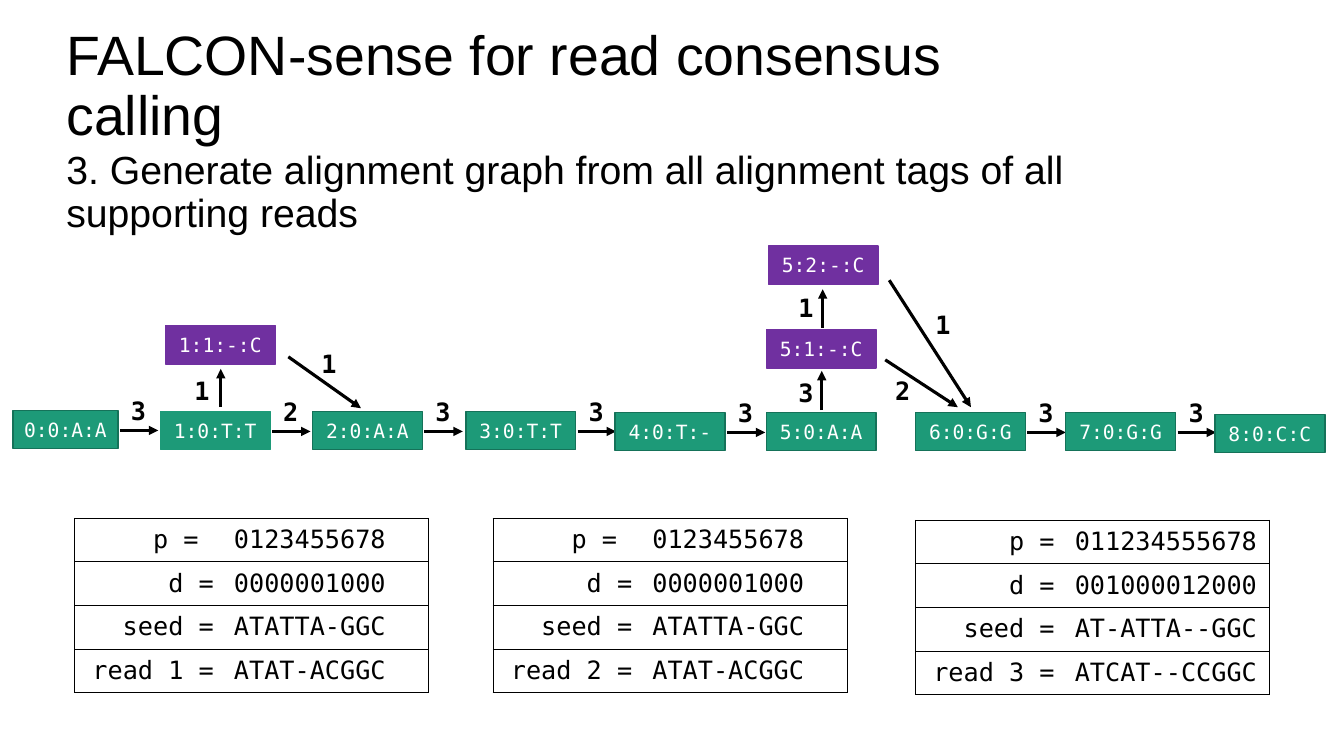
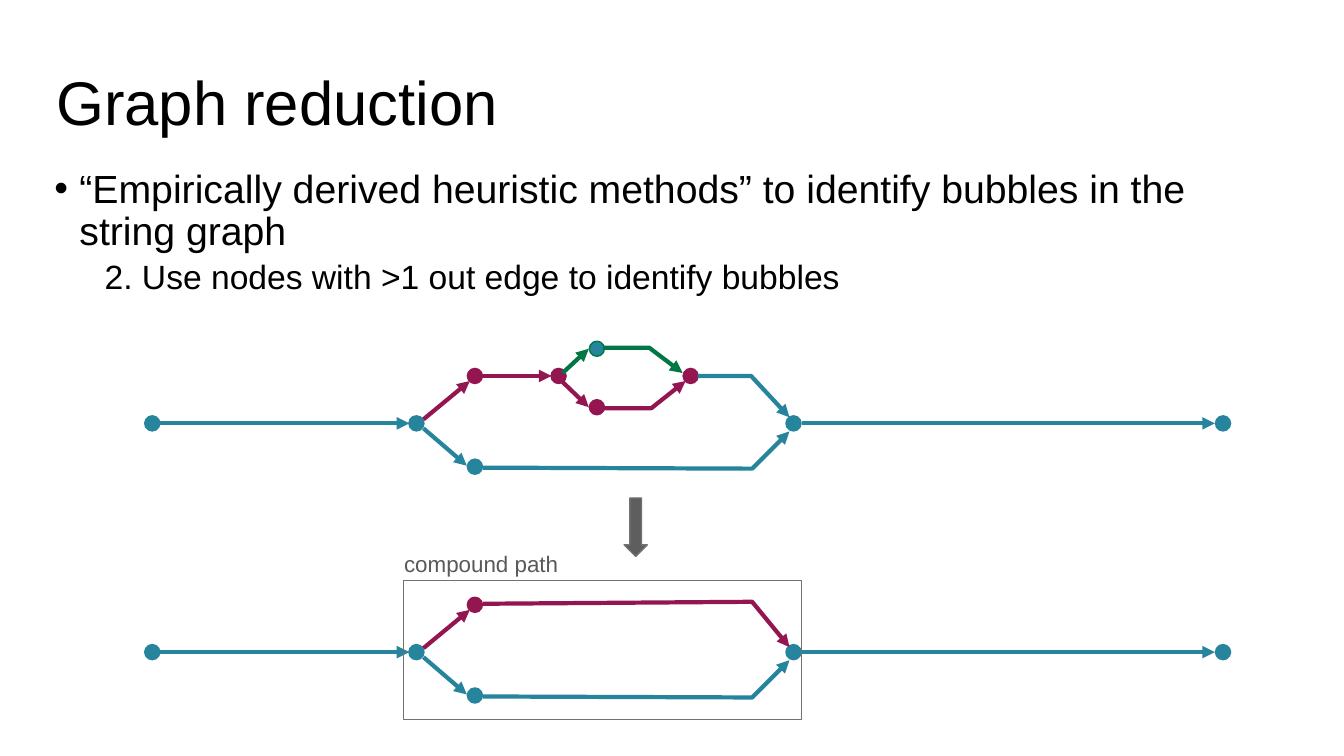
from itertools import pairwise

from lxml.etree import SubElement
from pptx import Presentation
from pptx.dml.color import RGBColor
from pptx.enum.shapes import MSO_CONNECTOR as Connector, MSO_SHAPE as Shape
from pptx.enum.text import MSO_ANCHOR as Anchor, PP_ALIGN as Align
from pptx.oxml.ns import qn
from pptx.util import Inches, Pt

COLORS = {
    "black": "000000", "white": "FFFFFF", "green": "1D9A78", "green_edge": "157259",
    "purple": "7030A0", "teal": "26859D", "maroon": "941651", "leaf": "007744",
    "arrow": "5E5E5E", "outline": "767171", "caption": "595959",
}
SANS, MONO = "Arial", "DejaVu Sans Mono"
TITLE = {"name": SANS, "size": Pt(44)}
BODY = {"name": SANS, "size": Pt(28)}
SUBPOINT = {"name": SANS, "size": Pt(24)}
CAPTION = {"name": SANS, "size": Pt(16)}
NODE = {"name": MONO, "size": Pt(14)}
CODE = {"name": MONO, "size": Pt(18)}
WEIGHT = CODE | {"bold": True}
NODE_WIDTH, NODE_HEIGHT = 1.09, 0.38
DOT = 0.15


def rgb(name):
    return RGBColor.from_string(COLORS[name])


def write(para, text, style, color="black", **layout):
    span = para.add_run()
    span.text = text
    for name, value in style.items():
        setattr(span.font, name, value)
    span.font.color.rgb = rgb(color)
    for name, value in layout.items():
        setattr(para, name, value)


def add_text(slide, area, text, style, color="black", wrap=True, anchor=Anchor.TOP, **layout):
    box = slide.shapes.add_textbox(*map(Inches, area))
    frame = box.text_frame
    frame.word_wrap = wrap
    frame.vertical_anchor = anchor
    write(frame.paragraphs[0], text, style, color, **layout)
    return frame


def add_title(slide, area, text, size=44):
    add_text(slide, area, text, TITLE | {"size": Pt(size)}, anchor=Anchor.MIDDLE, line_spacing=0.9)


def indent(para, left, hanging=0, bullet=None):
    props = para._p.get_or_add_pPr()
    props.set("marL", str(Inches(left)))
    props.set("indent", str(-Inches(hanging)))
    if bullet:
        SubElement(props, qn("a:buFont")).set("typeface", SANS)
        SubElement(props, qn("a:buChar")).set("char", bullet)


def add_figure(slide, kind, area, fill, edge):
    figure = slide.shapes.add_shape(kind, *map(Inches, area))
    figure.shadow.inherit = False
    if fill:
        figure.fill.solid()
        figure.fill.fore_color.rgb = rgb(fill)
    else:
        figure.fill.background()
    figure.line.color.rgb = rgb(edge)
    figure.line.width = Pt(1)
    return figure


def add_node(slide, left, top, text, fill, edge, width=NODE_WIDTH):
    node = add_figure(slide, Shape.RECTANGLE, (left, top, width, NODE_HEIGHT), fill, edge)
    node.text_frame.word_wrap = True
    node.text_frame.vertical_anchor = Anchor.MIDDLE
    write(node.text_frame.paragraphs[0], text, NODE, "white", alignment=Align.CENTER)


def add_weight(slide, left, top, text):
    add_text(slide, (left, top, 0.35, 0.4), text, WEIGHT, wrap=False)


def add_dot(slide, x, y, fill, edge=None):
    area = (x - DOT / 2, y - DOT / 2, DOT, DOT)
    add_figure(slide, Shape.OVAL, area, fill, edge or fill)


def add_arrow(slide, points, color="black", width=2.25):
    corners = [(Inches(x), Inches(y)) for x, y in points]
    if len(corners) == 2:
        arrow = slide.shapes.add_connector(Connector.STRAIGHT, *corners[0], *corners[1])
    else:
        builder = slide.shapes.build_freeform(*corners[0])
        builder.add_line_segments(corners[1:], close=False)
        arrow = builder.convert_to_shape()
        arrow.fill.background()
    arrow.line.color.rgb = rgb(color)
    arrow.line.width = Pt(width)
    SubElement(arrow.line._get_or_add_ln(), qn("a:tailEnd")).set("type", "triangle")
    SubElement(arrow._element.spPr, qn("a:effectLst"))


def set_borders(cell, sides):
    props = cell._tc.get_or_add_tcPr()
    for side in "LRTB":
        line = SubElement(props, qn(f"a:ln{side}"))
        if side in sides:
            line.set("w", str(Pt(0.5)))
            fill = SubElement(line, qn("a:solidFill"))
            SubElement(fill, qn("a:srgbClr")).set("val", COLORS["black"])
        else:
            SubElement(line, qn("a:noFill"))


def add_tags(slide, left, top, rows):
    area = (left, top, 3.51, 1.73)
    table = slide.shapes.add_table(len(rows), 2, *map(Inches, area)).table
    table.first_row = table.horz_banding = False
    for column, width in zip(table.columns, (1.48, 2.03)):
        column.width = Inches(width)
    for row, texts in enumerate(rows):
        for column, text in enumerate(texts):
            cell = table.cell(row, column)
            set_borders(cell, "TB" + "LR"[column])
            cell.fill.background()
            cell.vertical_anchor = Anchor.MIDDLE
            side = (Align.RIGHT, Align.LEFT)[column]
            write(cell.text_frame.paragraphs[0], text, CODE, alignment=side)


def draw_alignment_graph(slide):
    chain = [
        ("0:0:A:A", 0.13, 4.07, "3"), ("1:0:T:T", 1.59, 4.08, "2"),
        ("2:0:A:A", 3.1, 4.08, "3"), ("3:0:T:T", 4.62, 4.08, "3"),
        ("4:0:T:-", 6.1, 4.09, "3"), ("5:0:A:A", 7.6, 4.09, None),
        ("6:0:G:G", 9.08, 4.09, "3"), ("7:0:G:G", 10.57, 4.09, "3"),
        ("8:0:C:C", 12.05, 4.11, None),
    ]
    for index, (text, left, top, weight) in enumerate(chain):
        width = NODE_WIDTH if index else 1.04
        edge = "green" if index == 1 else "green_edge"
        add_node(slide, left, top, text, "green", edge, width)
        if weight:
            start, middle = left + width + 0.02, top + 0.2
            add_arrow(slide, [(start, middle), (start + 0.38, middle)])
            add_weight(slide, start + 0.01, middle - 0.4, weight)
    for text, left, top in (("1:1:-:C", 1.64, 3.23), ("5:1:-:C", 7.6, 3.27), ("5:2:-:C", 7.62, 2.44)):
        add_node(slide, left, top, text, "purple", "purple")
    branches = [
        ((2.19, 4.04), (2.19, 3.66), "1", 1.83, 3.67),
        ((2.86, 3.54), (3.58, 4.05), "1", 3.09, 3.41),
        ((8.15, 4.07), (8.15, 3.68), "3", 7.82, 3.69),
        ((8.16, 3.25), (8.16, 2.87), "1", 7.82, 2.85),
        ((8.78, 3.57), (9.5, 4.04), "2", 8.78, 3.67),
        ((8.82, 2.78), (9.63, 4.04), "1", 9.18, 3.02),
    ]
    for start, end, weight, left, top in branches:
        add_arrow(slide, [start, end])
        add_weight(slide, left, top, weight)


def build_consensus(slide):
    add_text(slide, (0.56, 1.45, 11.5, 4.76),
             "3. Generate alignment graph from all alignment tags of all supporting reads",
             BODY, line_spacing=0.9)
    add_title(slide, (0.56, 0.29, 10.38, 1.16), "FALCON-sense for read consensus calling", 39.6)
    plain = ("0123455678", "0000001000", "ATATTA-GGC", "ATAT-ACGGC")
    gapped = ("011234555678", "001000012000", "AT-ATTA--GGC", "ATCAT--CCGGC")
    reads = [(0.74, 5.14, "p = ", plain), (4.89, 5.14, "p = ", plain), (9.08, 5.16, "p =", gapped)]
    for number, (left, top, position, values) in enumerate(reads, 1):
        labels = (position, "d =", "seed =", f"read {number} =")
        add_tags(slide, left, top, list(zip(labels, values)))
    draw_alignment_graph(slide)


def draw_backbone(slide, middle):
    dots = [(1.51, 0, "teal"), (4.13, 0, "teal"), (4.71, -0.47, "maroon"),
            (4.71, 0.43, "teal"), (7.87, 0, "teal"), (12.13, 0, "teal")]
    routes = [
        ("teal", [(1.54, 0), (4.06, 0)]),
        ("maroon", [(4.2, -0.04), (4.66, -0.42)]),
        ("teal", [(4.2, 0.05), (4.63, 0.42)]),
        ("teal", [(4.79, 0.44), (7.46, 0.45), (7.83, 0.08)]),
        ("teal", [(7.95, 0), (12.05, 0)]),
    ]
    for x, rise, color in dots:
        add_dot(slide, x, middle + rise, color)
    for color, points in routes:
        add_arrow(slide, [(x, middle + rise) for x, rise in points], color, 3)


def draw_inner_bubble(slide):
    dots = [(5.54, 3.73, "maroon", None), (5.92, 3.46, "teal", "leaf"),
            (5.92, 4.04, "maroon", None), (6.85, 3.73, "maroon", None)]
    routes = [
        ("maroon", [(4.78, 3.73), (5.47, 3.73)]),
        ("leaf", [(5.58, 3.7), (5.84, 3.46)]),
        ("maroon", [(5.58, 3.79), (5.84, 4.04)]),
        ("leaf", [(5.98, 3.45), (6.44, 3.45), (6.77, 3.7)]),
        ("maroon", [(5.98, 4.05), (6.46, 4.05), (6.8, 3.78)]),
        ("teal", [(6.92, 3.73), (7.45, 3.73), (7.83, 4.14)]),
    ]
    for dot in dots:
        add_dot(slide, *dot)
    for color, points in routes:
        add_arrow(slide, points, color, 3)


def build_reduction(slide):
    frame = add_text(
        slide, (0.44, 1.63, 11.5, 5.36),
        "“Empirically derived heuristic methods” to identify bubbles in the string graph",
        BODY, line_spacing=0.9)
    indent(frame.paragraphs[0], 0.25, 0.25, "•")
    step = frame.add_paragraph()
    indent(step, 0.5)
    write(step, "2. Use nodes with >1 out edge to identify bubbles", SUBPOINT,
          line_spacing=0.9, space_before=Pt(5))
    add_title(slide, (0.46, 0.32, 11.5, 1.45), "Graph reduction")
    draw_backbone(slide, 4.2)
    draw_inner_bubble(slide)
    add_figure(slide, Shape.DOWN_ARROW, (6.19, 4.94, 0.23, 0.58), "arrow", "outline")
    draw_backbone(slide, 6.47)
    add_arrow(slide, [(4.79, 5.99), (7.46, 5.97), (7.83, 6.42)], "maroon", 3)
    add_figure(slide, Shape.RECTANGLE, (4, 5.76, 3.95, 1.38), None, "outline")
    add_text(slide, (3.91, 5.41, 1.8, 0.37), "compound path", CAPTION, "caption")


def main():
    deck = Presentation()
    deck.slide_width, deck.slide_height = Inches(13.33), Inches(7.5)
    for build in (build_consensus, build_reduction):
        build(deck.slides.add_slide(deck.slide_layouts[6]))
    deck.save("out.pptx")


if __name__ == "__main__":
    main()
